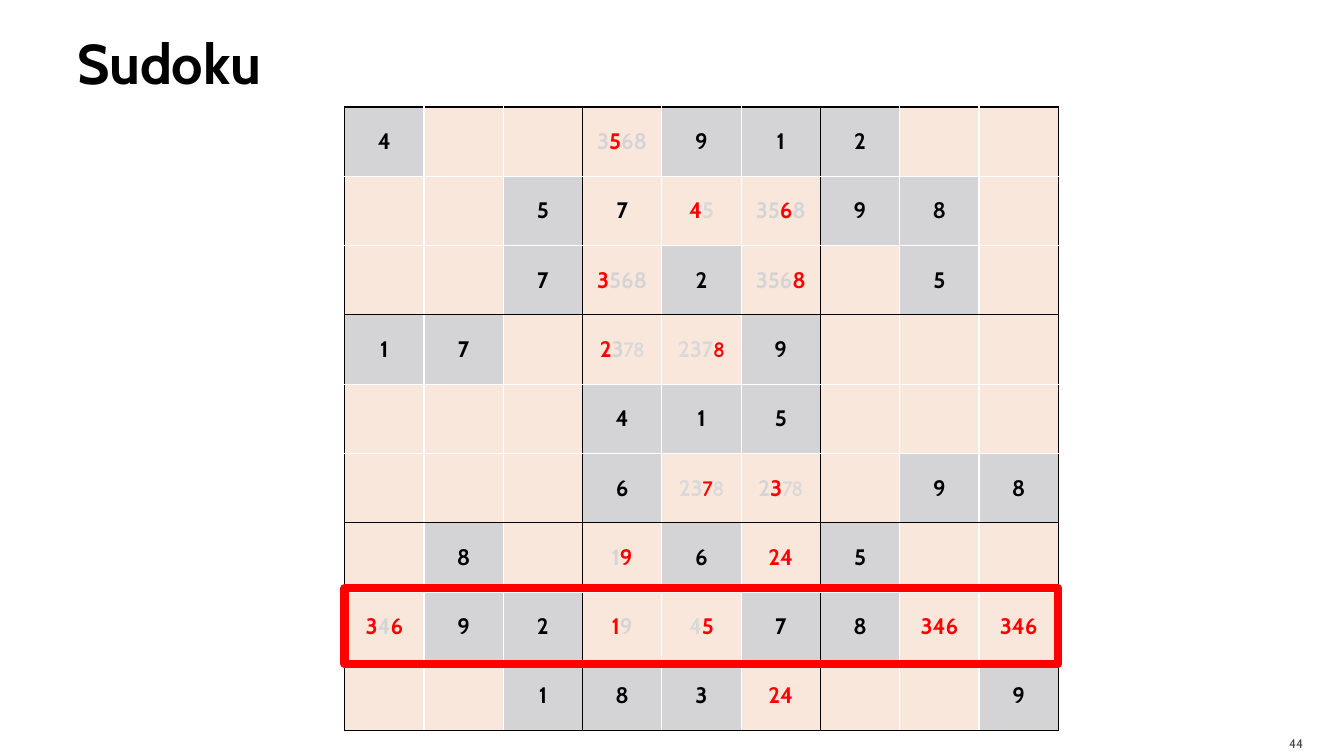
import pptx
import pptx.util
import pptx.dml.color
import pptx.enum.shapes
import pptx.enum.text
from lxml import etree

Pt = pptx.util.Pt
RGB = pptx.dml.color.RGBColor.from_string
ALIGN = pptx.enum.text.PP_ALIGN
MIDDLE = pptx.enum.text.MSO_ANCHOR.MIDDLE

COLORS = {
    "black": "000000", "white": "FFFFFF", "red": "FF0000",
    "given": "D4D4D6", "open": "FAE7DC",
    "ruled_out": "D4D4D6", "faded": "D9D9D9", "page": "454545",
}
BOARD_LEFT, BOARD_TOP = 246.2, 76.4
CELL_WIDTH, CELL_HEIGHT = 56.64, 49.5

# Letter before the digits -> font and colour; "#" marks a given number
DIGIT_STYLES = {
    "#": ("Cabin", "black"), "k": ("Cabin", "black"), "r": ("Cabin", "red"),
    "g": ("Cabin", "ruled_out"), "d": ("Cabin", "faded"),
    "R": ("Comic Neue", "red"), "D": ("Comic Neue", "faded"),
}
PUZZLE = [
    "#4 . . g3+r5+g68 #9 #1 #2 . .",
    ". . #5 k7 r4+d5 g35+r6+g8 #9 #8 .",
    ". . #7 r3+g568 #2 g356+r8 . #5 .",
    "#1 #7 . r2+g3+D78 d237+R8 #9 . . .",
    ". . . #4 #1 #5 . . .",
    ". . . #6 d23+R7+D8 g2+r3+D78 . #9 #8",
    ". #8 . g1+r9 #6 r24 #5 . .",
    "r3+g4+r6 #9 #2 r1+g9 d4+r5 #7 #8 r346 r346",
    ". . #1 #8 #3 r24 . . #9",
]


def add_label(text, left, top, width, height, size, color):
    box = slide.shapes.add_textbox(Pt(left), Pt(top), Pt(width), Pt(height))
    frame = box.text_frame
    frame.word_wrap = True
    frame.vertical_anchor = MIDDLE
    paragraph = frame.paragraphs[0]
    paragraph.text = text
    paragraph.font.name = "Cabin"
    paragraph.font.size = Pt(size)
    paragraph.font.color.rgb = RGB(COLORS[color])
    return frame


def set_borders(cell, row, column):
    # Box edges are black, lines inside a box are white
    edges = [("lnL", column), ("lnR", column + 1), ("lnT", row), ("lnB", row + 1)]
    properties = cell._tc.get_or_add_tcPr()
    for position, (tag, grid_line) in enumerate(edges):
        color = COLORS["black" if grid_line % 3 == 0 else "white"]
        properties.insert(position, etree.fromstring(
            f'<a:{tag} xmlns:a="http://schemas.openxmlformats.org/drawingml/2006/main" w="12700">'
            f'<a:solidFill><a:srgbClr val="{color}"/></a:solidFill></a:{tag}>'))


presentation = pptx.Presentation()
presentation.slide_width, presentation.slide_height = Pt(960), Pt(540)
slide = presentation.slides.add_slide(presentation.slide_layouts[6])

# Title and page number
title = add_label("Sudoku", 48, 5.76, 864, 77.76, 40, "black")
title.paragraphs[0].font.bold = True
title.margin_right = Pt(3.6)
page_number = add_label("44", 861, 518.4, 77, 21.6, 9, "page")
page_number.paragraphs[0].alignment = ALIGN.RIGHT
page_number.margin_bottom = 0

# Sudoku board
board = slide.shapes.add_table(9, 9, Pt(BOARD_LEFT), Pt(BOARD_TOP),
                               Pt(9 * CELL_WIDTH), Pt(9 * CELL_HEIGHT)).table
board.first_row = board.horz_banding = False
for column in board.columns:
    column.width = Pt(CELL_WIDTH)
for row, line in enumerate(PUZZLE):
    board.rows[row].height = Pt(CELL_HEIGHT)
    for column, entry in enumerate(line.split()):
        cell = board.cell(row, column)
        cell.vertical_anchor = MIDDLE
        cell.fill.solid()
        cell.fill.fore_color.rgb = RGB(COLORS["given" if entry[0] == "#" else "open"])
        set_borders(cell, row, column)
        if entry == ".":
            continue
        paragraph = cell.text_frame.paragraphs[0]
        paragraph.alignment = ALIGN.CENTER
        paragraph.font.size = Pt(16)
        paragraph.font.bold = True
        for part in entry.split("+"):
            digits = paragraph.add_run()
            digits.text = part[1:]
            font_name, color = DIGIT_STYLES[part[0]]
            digits.font.name = font_name
            digits.font.color.rgb = RGB(COLORS[color])

# Frame around the eighth row
row_frame = slide.shapes.add_shape(
    pptx.enum.shapes.MSO_SHAPE.RECTANGLE,
    Pt(BOARD_LEFT), Pt(420.2), Pt(9 * CELL_WIDTH), Pt(54))
row_frame.shadow.inherit = False
row_frame.fill.background()
row_frame.line.color.rgb = RGB(COLORS["red"])
row_frame.line.width = Pt(6)

presentation.save("out.pptx")
